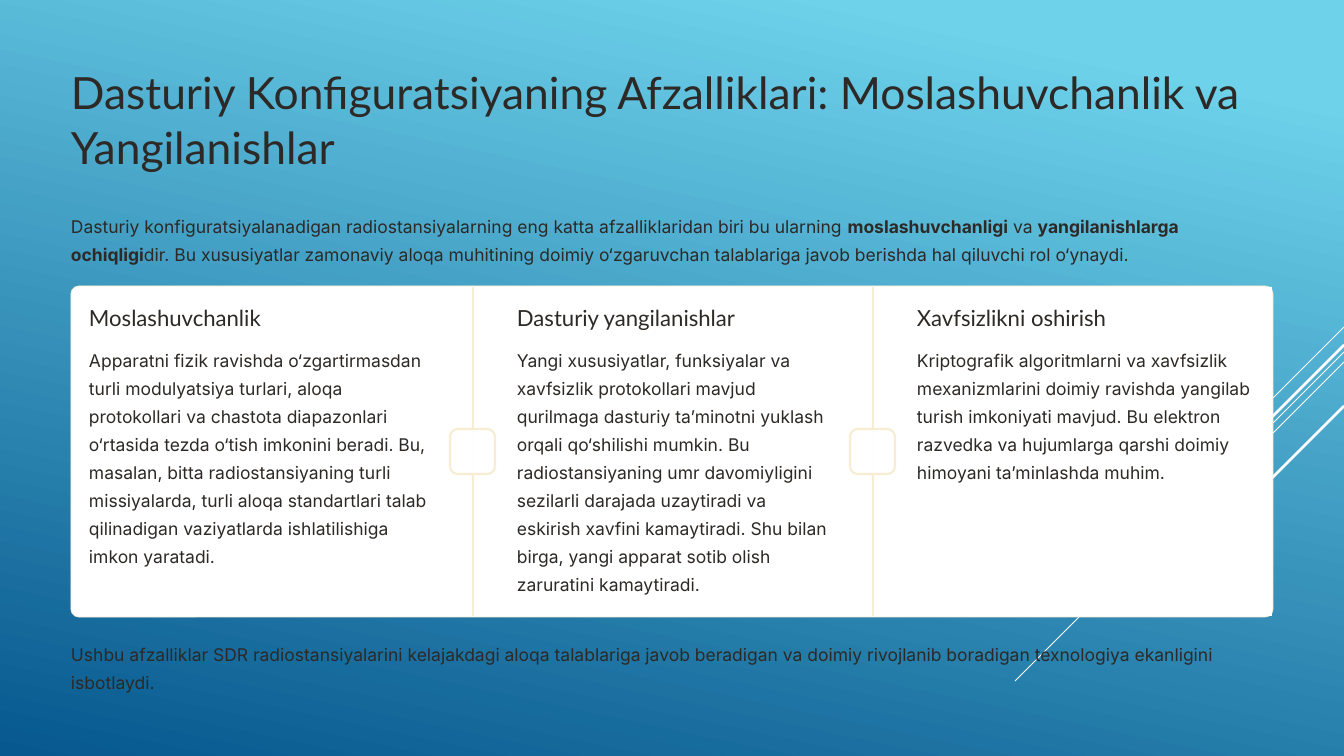
"""Build the slide on the benefits of software-configured radios."""
from dataclasses import dataclass

from lxml.etree import SubElement
from pptx import Presentation
from pptx.dml.color import RGBColor
from pptx.enum.shapes import MSO_CONNECTOR, MSO_SHAPE
from pptx.oxml.ns import qn
from pptx.util import Emu, Pt

TITLE = "Dasturiy Konfiguratsiyaning Afzalliklari: Moslashuvchanlik va Yangilanishlar"
INTRO = [
    ("Dasturiy konfiguratsiyalanadigan radiostansiyalarning eng katta afzalliklaridan biri bu ularning ", False),
    ("moslashuvchanligi", True),
    (" va ", False),
    ("yangilanishlarga ochiqligi", True),
    ("dir. Bu xususiyatlar zamonaviy aloqa muhitining doimiy o‘zgaruvchan talablariga javob berishda "
     "hal qiluvchi rol o‘ynaydi.", False),
]
BENEFITS = [
    ("Moslashuvchanlik",
     "Apparatni fizik ravishda o‘zgartirmasdan turli modulyatsiya turlari, aloqa protokollari va "
     "chastota diapazonlari o‘rtasida tezda o‘tish imkonini beradi. Bu, masalan, bitta "
     "radiostansiyaning turli missiyalarda, turli aloqa standartlari talab qilinadigan vaziyatlarda "
     "ishlatilishiga imkon yaratadi."),
    ("Dasturiy yangilanishlar",
     "Yangi xususiyatlar, funksiyalar va xavfsizlik protokollari mavjud qurilmaga dasturiy ta’minotni "
     "yuklash orqali qo‘shilishi mumkin. Bu radiostansiyaning umr davomiyligini sezilarli darajada "
     "uzaytiradi va eskirish xavfini kamaytiradi. Shu bilan birga, yangi apparat sotib olish "
     "zaruratini kamaytiradi."),
    ("Xavfsizlikni oshirish",
     "Kriptografik algoritmlarni va xavfsizlik mexanizmlarini doimiy ravishda yangilab turish imkoniyati "
     "mavjud. Bu elektron razvedka va hujumlarga qarshi doimiy himoyani ta’minlashda muhim."),
]
CLOSING = ("Ushbu afzalliklar SDR radiostansiyalarini kelajakdagi aloqa talablariga javob beradigan va "
           "doimiy rivojlanib boradigan texnologiya ekanligini isbotlaydi.")
STREAKS = [(327, 101, 0.75), (352, 329, 0.75), (362, 209, 0.75), (345, 193, 2.25), (406, 140, 2.25)]

WIDTH, HEIGHT = 1344, 756
LEFT, CONTENT_W = 71, 1202
PANEL_Y, PANEL_H = 286, 331
COL_X, COL_W = 72, 400
COL_Y, COL_H = PANEL_Y + 1, PANEL_H - 2
HEADING_Y, BODY_Y = 304, 343
BODY_WIDTHS = [339, 312, 339]
BADGE = 45


@dataclass(frozen=True)
class Theme:
    """Colours, fonts and type styles as (font, size, line spacing)."""
    ink: str = "2C2926"
    white: str = "FFFFFF"
    cream: str = "F8ECD3"
    sky: str = "6ED2EB"
    deep: str = "06588E"
    title: tuple = ("Lato", 38, 47.5)
    heading: tuple = ("Lato", 19, 23.5)
    body: tuple = ("Inter", 15, 24)


THEME = Theme()


def px(n):
    return Emu(round(n * 914400 / 84))


def rgb(value):
    return RGBColor.from_string(value)


def add_text(s, box, runs, style, wrap=True):
    tf = s.shapes.add_textbox(*map(px, box)).text_frame
    tf.margin_left = tf.margin_top = tf.margin_right = tf.margin_bottom = 0
    tf.word_wrap = wrap
    p = tf.paragraphs[0]
    name, size, spacing = style
    p.line_spacing = Pt(spacing)
    p.font.name, p.font.size = name, Pt(size)
    p.font.color.rgb = rgb(THEME.ink)
    for text, bold in runs:
        r = p.add_run()
        r.text = text
        if bold:
            r.font.bold = True


def add_box(s, box, fill, adj=None, line_width=None):
    kind = MSO_SHAPE.RECTANGLE if adj is None else MSO_SHAPE.ROUNDED_RECTANGLE
    sp = s.shapes.add_shape(kind, *map(px, box))
    sp.shadow.inherit = False
    if adj is not None:
        sp.adjustments[0] = adj
    sp.fill.solid()
    sp.fill.fore_color.rgb = rgb(fill)
    if line_width is None:
        sp.line.fill.background()
    else:
        sp.line.color.rgb = rgb(THEME.cream)
        sp.line.width = Pt(line_width)
    return sp


def add_background(s):
    fill = s.background.fill
    fill.gradient()
    fill.gradient_angle = 258
    for stop, position, color in zip(fill.gradient_stops, (0.1, 1), (THEME.sky, THEME.deep)):
        stop.position = position
        stop.color.rgb = rgb(color)
    for y, run, width in STREAKS:
        ends = (WIDTH, y, WIDTH - run, y + run)
        line = s.shapes.add_connector(MSO_CONNECTOR.STRAIGHT, *map(px, ends))
        line.line.color.rgb = rgb(THEME.white)
        line.line.width = Pt(width)
        SubElement(line._element.spPr, qn("a:effectLst"))


def add_column(s, i, heading, body):
    x = COL_X + i * COL_W
    text_x = x + (45 if i else 17)
    add_box(s, (x, COL_Y, COL_W, COL_H), THEME.white, None if i else 0.023)
    if i:
        add_box(s, (x, COL_Y, 2, COL_H), THEME.cream, 0.5)
    add_text(s, (text_x, HEADING_Y, 247, 28), [(heading, False)], THEME.heading, wrap=False)
    add_text(s, (text_x, BODY_Y, BODY_WIDTHS[i], 255), [(body, False)], THEME.body)
    if i:
        badge_y = COL_Y + (COL_H - BADGE) // 2
        badge = add_box(s, (x - BADGE // 2, badge_y, BADGE, BADGE), THEME.white, 0.168, 1.8)
        color = badge._element.spPr.find(qn("a:solidFill")).find(qn("a:srgbClr"))
        SubElement(color, qn("a:alpha"), val="95000")


def main():
    prs = Presentation()
    prs.slide_width, prs.slide_height = px(WIDTH), px(HEIGHT)
    s = prs.slides.add_slide(prs.slide_layouts[6])
    add_background(s)
    add_text(s, (LEFT, 63, CONTENT_W, 111), [(TITLE, False)], THEME.title)
    add_text(s, (LEFT, 209, CONTENT_W, 57), INTRO, THEME.body)
    add_box(s, (LEFT, PANEL_Y, CONTENT_W, PANEL_H), THEME.white, 0.023, 0.6)
    for i, (heading, body) in enumerate(BENEFITS):
        add_column(s, i, heading, body)
    add_text(s, (LEFT, 637, CONTENT_W, 57), [(CLOSING, False)], THEME.body)
    prs.save("out.pptx")


if __name__ == "__main__":
    main()
